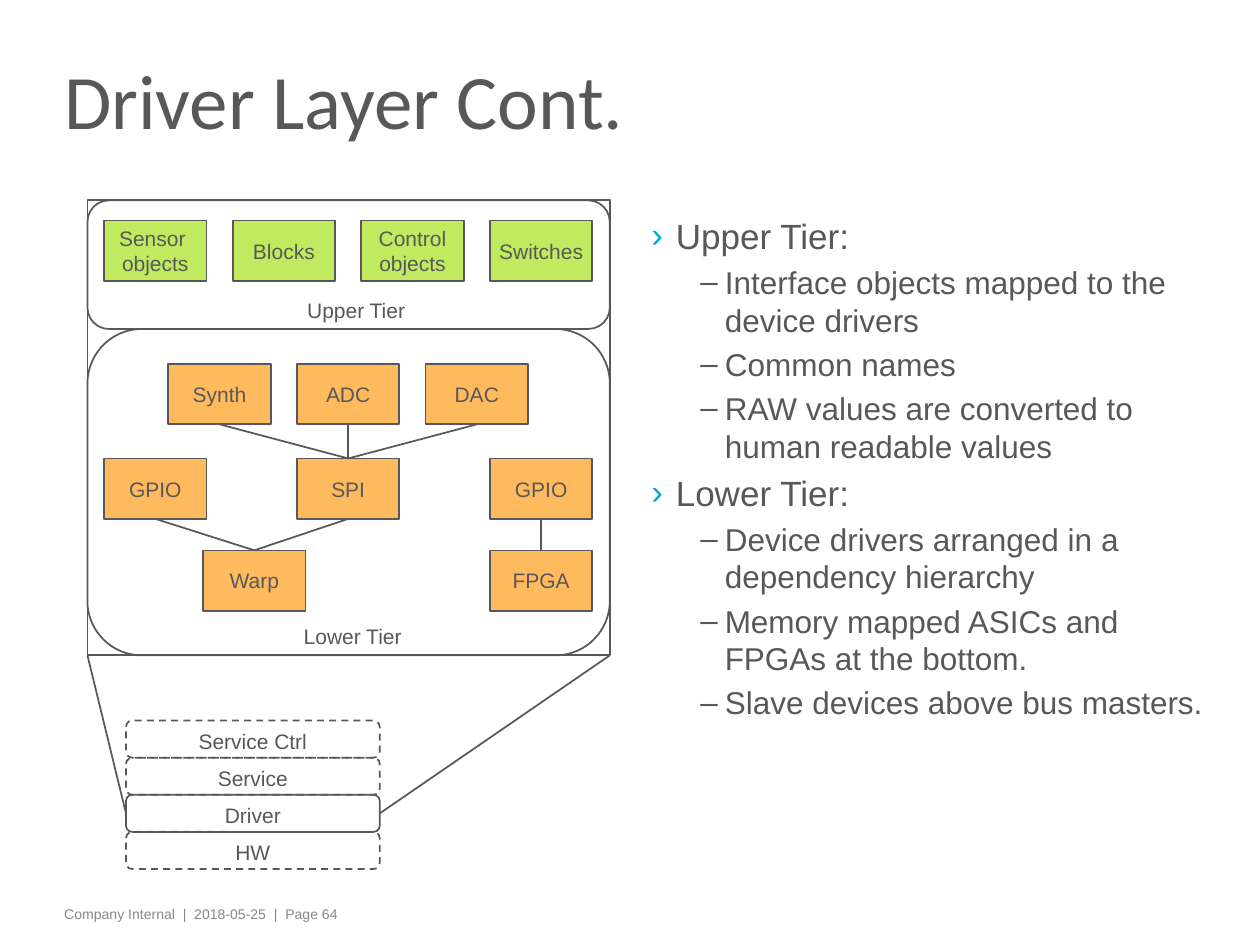
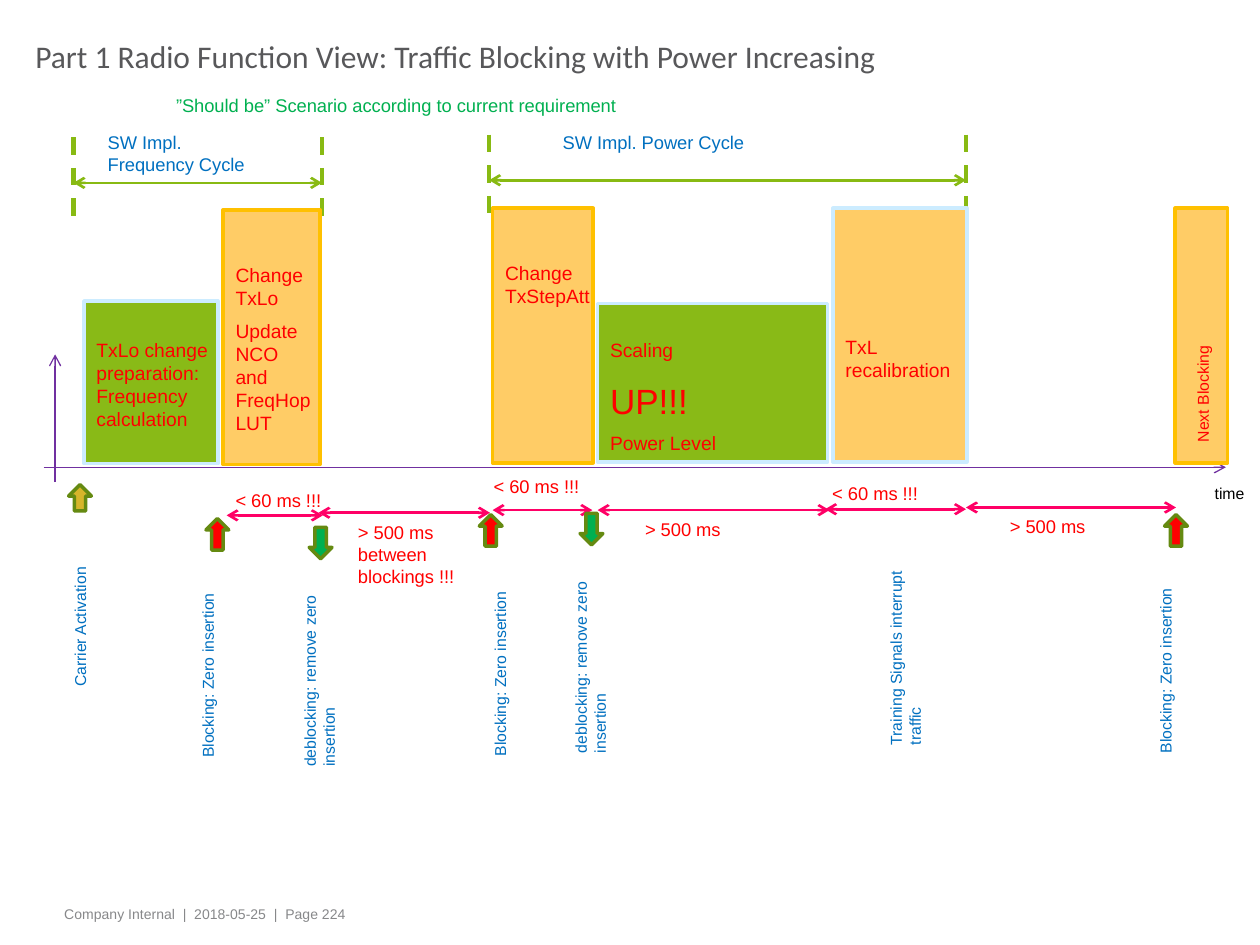
from lxml import etree
from pptx import Presentation
from pptx.dml.color import RGBColor
from pptx.enum.dml import MSO_LINE
from pptx.enum.shapes import MSO_CONNECTOR, MSO_SHAPE
from pptx.enum.text import MSO_ANCHOR, PP_ALIGN
from pptx.oxml.ns import qn
from pptx.util import Pt

RECTANGLE = MSO_SHAPE.RECTANGLE
ROUNDED = MSO_SHAPE.ROUNDED_RECTANGLE
ARROW = MSO_SHAPE.RIGHT_ARROW
STRAIGHT = MSO_CONNECTOR.STRAIGHT
DASH = MSO_LINE.DASH
TOP, MIDDLE = MSO_ANCHOR.TOP, MSO_ANCHOR.MIDDLE
LEFT, CENTER = PP_ALIGN.LEFT, PP_ALIGN.CENTER
TOP_SIDE, LEFT_SIDE, BOTTOM_SIDE, RIGHT_SIDE = range(4)

INK, FOOTER_GRAY, CYAN = "58585A", "87888A", "00A9D4"
LIME, ORANGE = "C1EB5E", "FFBA5D"
GREEN, AMBER, PALE_BLUE, GOLD = "89BA17", "FFCC66", "CCECFF", "FFC000"
RED, BLUE, BRIGHT_GREEN, PURPLE = "FF0000", "0070C0", "00B050", "7030A0"
CYCLE_GREEN, PINK, OLIVE, MUSTARD, BLACK = "88BA13", "FF0066", "658A11", "D6B52A", "000000"

DEFAULT_INSETS = (7.2, 3.6, 7.2, 3.6)
SHAPE_INSETS = (5.7, 3.6, 5.7, 3.6)
PLACEHOLDER_INSETS = (5.7, 0, 5.7, 0)


def color(hex_string):
    return RGBColor.from_string(hex_string)


def add_bullet(paragraph, symbol, bullet_color, margin, indent):
    properties = paragraph._p.get_or_add_pPr()
    properties.set("marL", str(Pt(margin)))
    properties.set("indent", str(Pt(indent)))
    holder = etree.SubElement(properties, qn("a:buClr"))
    etree.SubElement(holder, qn("a:srgbClr"), val=bullet_color)
    etree.SubElement(properties, qn("a:buFont"), typeface="Arial")
    etree.SubElement(properties, qn("a:buChar"), char=symbol)


def write(shape, *paragraphs, size=12, ink=INK, font="Arial", align=LEFT, anchor=TOP,
          insets=DEFAULT_INSETS, wrap=True, spacing=0.5, line_spacing=None, bullets=None):
    """Fill a shape with paragraphs; each is a text or a (text, size) pair.

    spacing is the space before as a share of the size; bullets maps a size to its bullet.
    """
    frame = shape.text_frame
    frame.word_wrap = wrap
    frame.vertical_anchor = anchor
    (frame.margin_left, frame.margin_top,
     frame.margin_right, frame.margin_bottom) = map(Pt, insets)
    for index, entry in enumerate(paragraphs):
        text, points = entry if isinstance(entry, tuple) else (entry, size)
        paragraph = frame.add_paragraph() if index else frame.paragraphs[0]
        paragraph.text = text
        paragraph.alignment = align
        if line_spacing:
            paragraph.line_spacing = line_spacing
        paragraph.space_before = Pt(spacing * points if index else 0)
        if bullets:
            add_bullet(paragraph, *bullets[points])
        for run in paragraph.runs:
            run.font.size = Pt(points)
            run.font.name = font
            run.font.color.rgb = color(ink)


class Deck:
    def __init__(self):
        self.presentation = Presentation()
        self.presentation.slide_width = Pt(720)
        self.presentation.slide_height = Pt(540)
        self.slide = None

    def start(self, title, page, box, size):
        """Begin a slide with its title and footer."""
        layout = self.presentation.slide_layouts[6]
        self.slide = self.presentation.slides.add_slide(layout)
        self.text(31, 514, 582.5, 17.5, f"Company Internal  |  2018-05-25  |  Page {page}",
                  size=8, ink=FOOTER_GRAY, insets=SHAPE_INSETS)
        self.text(*box, title, size=size, font="Calibri", anchor=MIDDLE,
                  insets=PLACEHOLDER_INSETS, line_spacing=0.75)

    def text(self, left, top, width, height, *paragraphs, rotation=0, **style):
        box = self.slide.shapes.add_textbox(Pt(left), Pt(top), Pt(width), Pt(height))
        box.rotation = rotation
        write(box, *paragraphs, **style)

    def vertical_text(self, center_x, center_y, length, height, text, ink=BLUE):
        """Text that reads upwards, placed by its centre."""
        self.text(center_x - length / 2, center_y - height / 2, length, height, text,
                  rotation=270, size=9, ink=ink)

    def shape(self, kind, left, top, width, height, fill=None, line=INK, weight=1,
              dash=None, rotation=0):
        shape = self.slide.shapes.add_shape(kind, Pt(left), Pt(top), Pt(width), Pt(height))
        shape.shadow.inherit = False
        shape.rotation = rotation
        if fill:
            shape.fill.solid()
            shape.fill.fore_color.rgb = color(fill)
        else:
            shape.fill.background()
        shape.line.color.rgb = color(line)
        shape.line.width = Pt(weight)
        if dash:
            shape.line.dash_style = dash
        return shape

    def labelled(self, kind, left, top, width, height, label, anchor=MIDDLE, **style):
        shape = self.shape(kind, left, top, width, height, **style)
        write(shape, label, align=CENTER, anchor=anchor, insets=SHAPE_INSETS, wrap=False)
        return shape

    def line(self, start, end, ink=INK, weight=1, dash=None, heads=()):
        """Draw a line; each end is a point (x, y) or a (shape, side) to join."""
        joins = [not isinstance(place[0], (int, float)) for place in (start, end)]
        x1, y1 = (0, 0) if joins[0] else start
        x2, y2 = (0, 0) if joins[1] else end
        connector = self.slide.shapes.add_connector(STRAIGHT, Pt(x1), Pt(y1), Pt(x2), Pt(y2))
        if joins[0]:
            connector.begin_connect(*start)
        if joins[1]:
            connector.end_connect(*end)
        connector.line.color.rgb = color(ink)
        connector.line.width = Pt(weight)
        if dash:
            connector.line.dash_style = dash
        properties = connector.element.spPr
        for head in heads:
            etree.SubElement(properties.find(qn("a:ln")), qn(f"a:{head}"), type="arrow")
        etree.SubElement(properties, qn("a:effectLst"))

    def span(self, left, right, y, ink):
        """A horizontal arrow with a head at both ends."""
        self.line((left, y), (right, y), ink=ink, weight=1.5, heads=("headEnd", "tailEnd"))

    def marker(self, center_x, center_y, rotation, fill, length=18):
        self.shape(ARROW, center_x - length / 2, center_y - 6.5, length, 13, fill=fill,
                   line=OLIVE, weight=2, rotation=rotation)


def build_driver_layer(deck):
    deck.start("Driver Layer Cont.", 64, (31, 19, 590, 86), 44)
    deck.text(366.5, 122.5, 330, 317,
              ("Upper Tier:", 20),
              "Interface objects mapped to the device drivers",
              "Common names",
              "RAW values are converted to human readable values",
              ("Lower Tier:", 20),
              "Device drivers arranged in a dependency hierarchy",
              "Memory mapped ASICs and FPGAs at the bottom.",
              "Slave devices above bus masters.",
              size=18, spacing=0.2, insets=PLACEHOLDER_INSETS,
              bullets={20: ("›", CYAN, 14, -14), 18: ("–", INK, 42, -14)})

    left, top, width, height, upper_height = 50, 114.5, 298.5, 260, 73.5
    deck.shape(RECTANGLE, left, top, width, height)
    deck.shape(ROUNDED, left, top, width, upper_height)
    deck.shape(ROUNDED, left, top + upper_height, width, height - upper_height)
    deck.text(168.5, 166.5, 71.5, 21.5, "Upper Tier", wrap=False)
    deck.text(166.5, 353, 71.5, 21.5, "Lower Tier", wrap=False)

    def box(column, row_top, label, fill=ORANGE):
        return deck.labelled(RECTANGLE, 59.5 + 73.5 * column, row_top, 58.5, 34.5, label,
                             fill=fill)

    for column, label in enumerate(["Sensor \vobjects", "Blocks", "Control\vobjects",
                                    "Switches"]):
        box(column, 126, label, LIME)
    slaves = [box(column + 0.5, 208, label)
              for column, label in enumerate(["Synth", "ADC", "DAC"])]
    gpio, spi, fpga_gpio = [box(column, 262, label) for column, label in
                            [(0, "GPIO"), (1.5, "SPI"), (3, "GPIO")]]
    warp, fpga = box(0.77, 314.5, "Warp"), box(3, 314.5, "FPGA")
    links = [(slave, spi) for slave in slaves]
    links += [(gpio, warp), (spi, warp), (fpga_gpio, fpga)]
    for upper, lower in links:
        deck.line((upper, BOTTOM_SIDE), (lower, TOP_SIDE))

    layers = {}
    for index, label in enumerate(["Service Ctrl", "Service", "Driver", "HW"]):
        layers[label] = deck.labelled(ROUNDED, 72, 411.8 + 21.2 * index, 145, 21.2, label,
                                      anchor=TOP, dash=None if label == "Driver" else DASH)
    deck.line((layers["Driver"], LEFT_SIDE), (left, top + height))
    deck.line((layers["Driver"], RIGHT_SIDE), (left + width, top + height))


def build_traffic_blocking(deck):
    deck.start("Part 1 Radio Function View: Traffic Blocking with Power Increasing", 224,
               (14.5, 15, 692, 39), 18)
    deck.text(93.5, 50.5, 453, 20, "”Should be” Scenario according to current requirement",
              size=10.5, ink=BRIGHT_GREEN)

    for start, end in [((25, 267), (700.5, 267)), ((31.5, 275.5), (31.5, 202.5))]:
        deck.line(start, end, ink=PURPLE, weight=0.75, heads=("tailEnd",))
    deck.text(687, 273, 35, 29.5, "time", size=9, ink=BLACK, wrap=False)

    cycles = [
        (42, 184, 78.5, 54.5, 93.5, "SW Impl. Frequency Cycle"),
        (279.5, 552, 77, 314.5, 210, "SW Impl. Power Cycle"),
    ]
    for left, right, top, label_left, label_width, label in cycles:
        for x in (left, right):
            deck.line((x, top), (x, top + 52), ink=CYCLE_GREEN, weight=2.5, dash=DASH)
        deck.span(left, right, top + 26, CYCLE_GREEN)
        deck.text(label_left, 71.5, label_width, 32.5, label, size=10.5, ink=BLUE)

    # Each block: box, fill, border, then top, width and height of its text
    blocks = [
        ((48, 172, 76.5, 93), GREEN, PALE_BLUE, (189.5, 82, 55.5),
         ["TxLo change preparation: Frequency calculation"]),
        ((127.5, 120, 55.5, 145.5), AMBER, GOLD, (147, 60, 119.5),
         ["Change TxLo", "Update NCO and FreqHop LUT"]),
        ((281.5, 119, 57.5, 145.5), AMBER, GOLD, (145.5, 67.5, 34),
         ["Change TxStepAtt"]),
        ((341.5, 173.5, 131.5, 90.5), GREEN, PALE_BLUE, (190, 143, 69),
         ["Scaling", ("UP!!!", 20), "Power Level"]),
        ((476, 119, 76.5, 145), AMBER, PALE_BLUE, (188, 82, 34),
         ["TxL recalibration"]),
    ]
    for box, fill, border, (top, width, height), paragraphs in blocks:
        deck.shape(RECTANGLE, *box, fill=fill, line=border, weight=2)
        deck.text(box[0], top, width, height, *paragraphs, size=11, ink=RED)
    deck.shape(RECTANGLE, 671.5, 119, 30, 145.5, fill=AMBER, line=GOLD, weight=2)
    deck.vertical_text(687.2, 199, 121.5, 18, "Next Blocking", ink=RED)

    short, long = "< 60 ms !!!", "> 500 ms"
    durations = [
        (129.5, 184.5, 294.5, short, 127.5, 276, 70),
        (281.5, 338.5, 291.5, short, 275, 268, 88.5),
        (182, 280, 293, f"{long} between blockings !!!", 197.5, 294, 77),
        (341.5, 474, 291.5, long, 361.5, 292.5, 103.5),
        (471.5, 552, 291, short, 468.5, 272, 83.5),
        (552, 672, 290, long, 570, 291, 94.5),
    ]
    for left, right, y, label, label_left, label_top, label_width in durations:
        deck.span(left, right, y, PINK)
        label_height = 45 if "between" in label else 20
        deck.text(label_left, label_top, label_width, label_height, label, size=10.5, ink=RED)

    deck.marker(45.7, 284.4, 270, MUSTARD, length=15)
    deck.vertical_text(45.7, 347.4, 104.5, 18, "Carrier Activation")
    blocking = (270, RED, "Blocking: Zero insertion")
    deblocking = (90, BRIGHT_GREEN, "deblocking: remove zero insertion")
    events = [
        (124.2, 305.3, 124.2, 379.4, blocking),
        (183.2, 310.3, 182.5, 384.5, deblocking),
        (280.4, 303.1, 291.2, 378.4, blocking),
        (338, 302.4, 337.3, 376.6, deblocking),
        (672, 303.1, 671.4, 376.6, blocking),
    ]
    for x, y, label_x, label_y, (rotation, fill, label) in events:
        deck.marker(x, y, rotation, fill)
        deck.vertical_text(label_x, label_y, 121.5, 29, label)
    deck.vertical_text(517.3, 372.2, 121.5, 29, "Training Signals interrupt traffic")


def main():
    deck = Deck()
    build_driver_layer(deck)
    build_traffic_blocking(deck)
    deck.presentation.save("out.pptx")


if __name__ == "__main__":
    main()
